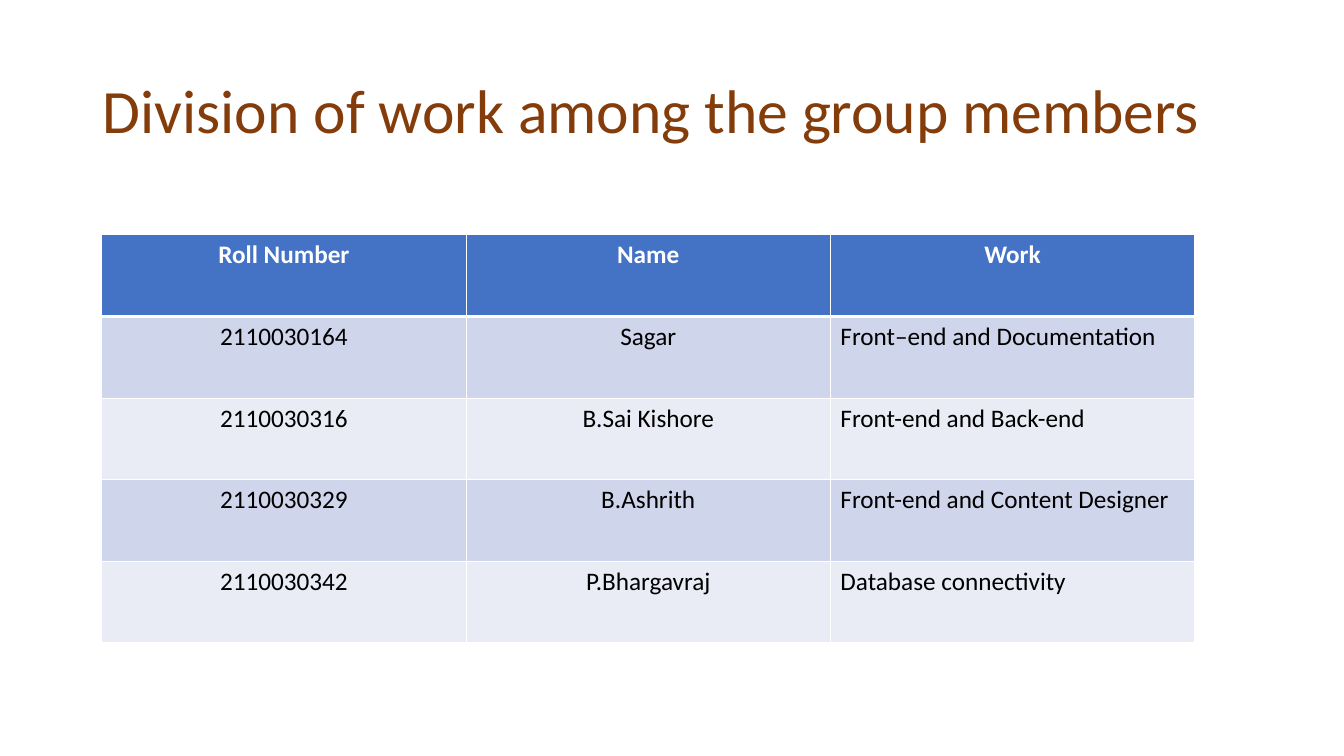
from dataclasses import dataclass

from lxml.etree import SubElement
from pptx import Presentation
from pptx.dml.color import RGBColor as RGB
from pptx.enum.text import MSO_ANCHOR as Anchor, MSO_AUTO_SIZE as AutoSize, PP_ALIGN as Align
from pptx.oxml.ns import qn
from pptx.util import Inches, Pt


@dataclass(frozen=True)
class Theme:
    font: str = "Calibri"
    title: str = "843C0B"
    header: str = "4472C4"
    bands: tuple[str, str] = ("CFD5EA", "E9EBF5")
    white: str = "FFFFFF"
    black: str = "000000"
    title_size: int = 44
    table_size: int = 18
    thin: int = 1
    thick: int = 3


@dataclass(frozen=True)
class Grid:
    left: float = 1.01
    top: float = 2.33
    col: float = 3.613
    row: float = 0.81


@dataclass(frozen=True)
class Member:
    roll: str
    name: str
    work: str

    def cells(self) -> tuple[str, str, str]:
        return self.roll, self.name, self.work


THEME = Theme()
GRID = Grid()
HEADINGS = ("Roll Number", "Name", "Work")
MEMBERS = (
    Member("2110030164", "Sagar", "Front–end and Documentation"),
    Member("2110030316", "B.Sai Kishore", "Front-end and Back-end"),
    Member("2110030329", "B.Ashrith", "Front-end and Content Designer"),
    Member("2110030342", "P.Bhargavraj", "Database connectivity"),
)


def set_attrs(target, values: dict) -> None:
    for key, value in values.items():
        setattr(target, key, value)


def write(p, text: str, size: int, color: str, bold: bool = False) -> None:
    r = p.add_run()
    r.text = text
    set_attrs(r.font, {"name": THEME.font, "size": Pt(size), "bold": bold})
    r.font.color.rgb = RGB.from_string(color)


def set_borders(cell, top: int, bottom: int) -> None:
    """Draw white cell borders; call before filling the cell."""
    tc_pr = cell._tc.get_or_add_tcPr()
    widths = {"lnL": THEME.thin, "lnR": THEME.thin, "lnT": top, "lnB": bottom}
    for tag, width in widths.items():
        ln = SubElement(tc_pr, qn(f"a:{tag}"), w=str(Pt(width)))
        fill = SubElement(ln, qn("a:solidFill"))
        SubElement(fill, qn("a:srgbClr"), val=THEME.white)


def add_title(s, text: str) -> None:
    sp = s.shapes.title
    set_attrs(sp, {"left": Inches(0.92), "top": Inches(0.4),
                   "width": Inches(11.5), "height": Inches(1.45)})
    tf = sp.text_frame
    set_attrs(tf, {"word_wrap": True, "auto_size": AutoSize.NONE,
                   "vertical_anchor": Anchor.MIDDLE})
    p = tf.paragraphs[0]
    set_attrs(p, {"alignment": Align.LEFT, "line_spacing": 0.9})
    write(p, text, THEME.title_size, THEME.title)


def add_work_table(s) -> None:
    rows = [HEADINGS, *(m.cells() for m in MEMBERS)]
    n_rows, n_cols = len(rows), len(HEADINGS)
    table = s.shapes.add_table(
        n_rows, n_cols, Inches(GRID.left), Inches(GRID.top),
        Inches(GRID.col * n_cols), Inches(GRID.row * n_rows)).table

    for i, texts in enumerate(rows):
        is_header = i == 0
        fill = THEME.header if is_header else THEME.bands[(i - 1) % 2]
        color = THEME.white if is_header else THEME.black
        top = THEME.thick if i == 1 else THEME.thin
        bottom = THEME.thick if is_header else THEME.thin
        for j, text in enumerate(texts):
            cell = table.cell(i, j)
            set_borders(cell, top, bottom)
            cell.fill.solid()
            cell.fill.fore_color.rgb = RGB.from_string(fill)
            p = cell.text_frame.paragraphs[0]
            is_work = j == n_cols - 1 and not is_header
            p.alignment = Align.LEFT if is_work else Align.CENTER
            write(p, text, THEME.table_size, color, is_header)


def main() -> None:
    prs = Presentation()
    set_attrs(prs, {"slide_width": Inches(13.33), "slide_height": Inches(7.5)})
    s = prs.slides.add_slide(prs.slide_layouts[5])

    # Title
    add_title(s, "Division of work among the group members")

    # Members and their work
    add_work_table(s)

    prs.save("out.pptx")


if __name__ == "__main__":
    main()
